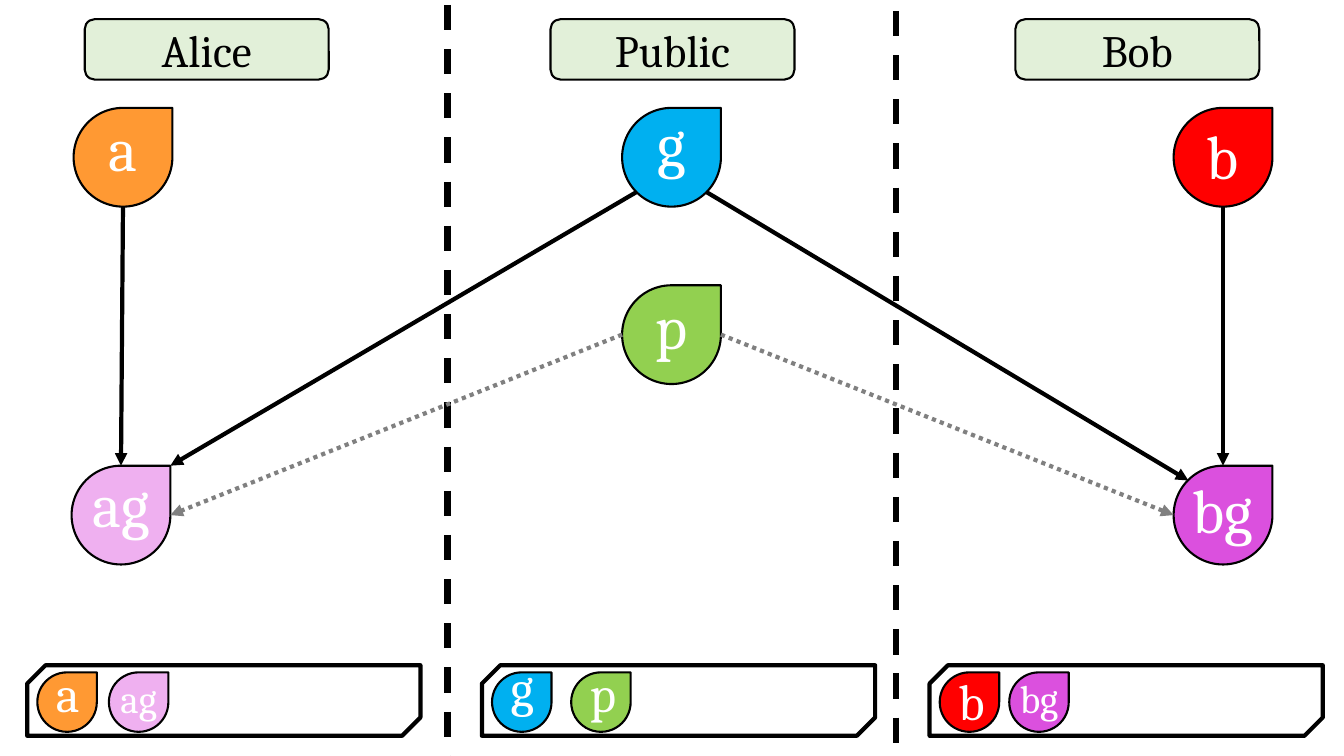
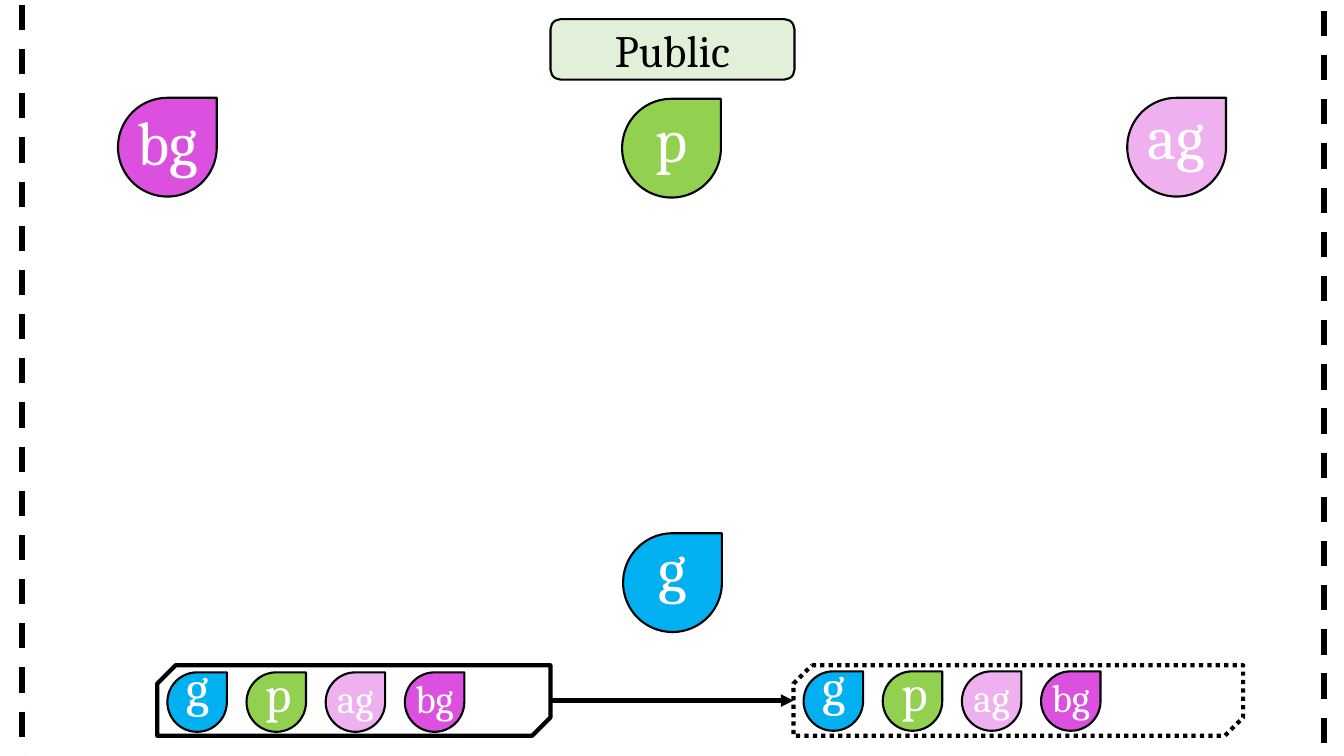
from dataclasses import dataclass

from lxml import etree
from pptx import Presentation
from pptx import util as u
from pptx.dml.color import RGBColor
from pptx.enum import dml, shapes, text
from pptx.oxml.ns import qn


@dataclass(frozen=True)
class Theme:
    font: str = "Cambria"
    ink: str = "000000"
    muted: str = "808080"
    white: str = "FFFFFF"
    label_fill: str = "E2F0D9"
    label_size: int = 32
    drop_size: int = 44
    token_size: int = 36
    pair_token_size: int = 28
    outline: float = 1.5
    heavy: float = 3
    divider: float = 4.5


THEME = Theme()

# Each value: fill colour, side inset, bottom inset of a drop, bottom inset of a token
VALUES = {
    "a": ("FF9933", 0.1, 0.2, 0.2),
    "b": ("FF0000", 0.1, 0.04, 0.04),
    "g": ("00B0F0", 0.1, 0.31, 0.31),
    "p": ("92D050", 0.1, 0.2, 0.2),
    "ag": ("EFB0F0", 0, 0.24, 0.08),
    "bg": ("DB50DE", 0, 0.12, 0.08),
}

# Places on a drop's outline, as fractions of its width and height
SITES = {
    "top": (0.5, 0),
    "tip": (1, 0),
    "right": (1, 0.5),
    "lower right": (0.85, 0.85),
    "bottom": (0.5, 1),
    "lower left": (0.15, 0.85),
    "left": (0, 0.5),
    "upper left": (0.15, 0.15),
}

DROP = 0.98
TOKEN = 0.59
TOKEN_STEP = 0.785
STORE_TOP = 6.6
STORE_HEIGHT = 0.7
STORE_WIDTH = 3.9
SNIP = 0.26
LABEL_LEFT = {"Alice": 0.84, "Public": 5.46, "Bob": 10.07}


# Basic elements
def set_line(line, color, width, dash=None):
    line.color.rgb = RGBColor.from_string(color)
    line.width = u.Pt(width)
    if dash is not None:
        line.dash_style = dash


def add_box(slide, kind, left, top, width, height, *, fill=None,
            width_pt=THEME.outline, dash=None):
    shape = slide.shapes.add_shape(
        kind, *(u.Inches(value) for value in (left, top, width, height)))
    shape.shadow.inherit = False
    if fill is None:
        shape.fill.background()
    else:
        shape.fill.solid()
        shape.fill.fore_color.rgb = RGBColor.from_string(fill)
    set_line(shape.line, THEME.ink, width_pt, dash)
    return shape


def write(shape, words, *, size, color, insets=(0.1, 0.05, 0.1, 0.05)):
    frame = shape.text_frame
    frame.word_wrap = True
    frame.vertical_anchor = text.MSO_ANCHOR.MIDDLE
    (frame.margin_left, frame.margin_top,
     frame.margin_right, frame.margin_bottom) = map(u.Inches, insets)
    paragraph = frame.paragraphs[0]
    paragraph.alignment = text.PP_ALIGN.CENTER
    run = paragraph.add_run()
    run.text = words
    run.font.name = THEME.font
    run.font.size = u.Pt(size)
    run.font.color.rgb = RGBColor.from_string(color)


def add_line(slide, start, end, *, color=THEME.ink, width=THEME.heavy,
             dash=None, arrow=True):
    connector = slide.shapes.add_connector(
        shapes.MSO_CONNECTOR.STRAIGHT, *map(u.Inches, (*start, *end)))
    set_line(connector.line, color, width, dash)
    properties = connector._element.spPr
    if arrow:
        etree.SubElement(properties.find(qn("a:ln")), qn("a:tailEnd"), type="triangle")
    etree.SubElement(properties, qn("a:effectLst"))
    return connector


# Parts of the diagram
def add_divider(slide, x, top):
    add_line(slide, (x, top), (x, top + 8.28), width=THEME.divider,
             dash=dml.MSO_LINE.DASH, arrow=False)


def add_label(slide, name):
    label = add_box(slide, shapes.MSO_SHAPE.ROUNDED_RECTANGLE,
                    LABEL_LEFT[name], 0.19, 2.42, 0.6, fill=THEME.label_fill)
    write(label, name, size=THEME.label_size, color=THEME.ink)


def add_teardrop(slide, name, left, top, side, size, bottom_inset):
    fill, side_inset = VALUES[name][:2]
    shape = add_box(slide, shapes.MSO_SHAPE.TEAR, left, top, side, side, fill=fill)
    write(shape, name, size=size, color=THEME.white,
          insets=(side_inset, 0, side_inset, bottom_inset))


def add_drop(slide, name, left, top):
    """Draw a large drop and return the points where arrows meet it."""
    add_teardrop(slide, name, left, top, DROP, THEME.drop_size, VALUES[name][2])
    return {site: (left + x * DROP, top + y * DROP) for site, (x, y) in SITES.items()}


def add_store(slide, left, names, *, width=STORE_WIDTH, step=TOKEN_STEP,
              token_top=6.67, dash=None):
    """Draw a snipped box holding a row of small drops."""
    store = add_box(slide, shapes.MSO_SHAPE.SNIP_2_DIAG_RECTANGLE, left, STORE_TOP,
                    width, STORE_HEIGHT, width_pt=THEME.heavy, dash=dash)
    store.adjustments[0] = SNIP
    store.adjustments[1] = 0
    for index, name in enumerate(names):
        size = THEME.token_size if len(name) == 1 else THEME.pair_token_size
        add_teardrop(slide, name, left + 0.1 + index * step, token_top,
                     TOKEN, size, VALUES[name][3])


def start_slide(presentation, dividers, labels):
    slide = presentation.slides.add_slide(presentation.slide_layouts[6])
    for x, top in zip(dividers, (-0.39, -0.33)):
        add_divider(slide, x, top)
    for name in labels:
        add_label(slide, name)
    return slide


# Slides
def build_key_mixing(presentation):
    slide = start_slide(presentation, (4.44, 8.89), LABEL_LEFT)
    g = add_drop(slide, "g", 6.17, 1.07)
    p = add_drop(slide, "p", 6.17, 2.83)
    a = add_drop(slide, "a", 0.73, 1.07)
    b = add_drop(slide, "b", 11.64, 1.07)
    ag = add_drop(slide, "ag", 0.71, 4.62)
    bg = add_drop(slide, "bg", 11.64, 4.62)

    for start, end in (
        (a["bottom"], ag["top"]),
        (g["lower left"], ag["tip"]),
        (b["bottom"], bg["top"]),
        (g["lower right"], bg["upper left"]),
    ):
        add_line(slide, start, end)
    for start, end in ((p["left"], ag["right"]), (p["right"], bg["left"])):
        add_line(slide, start, end, color=THEME.muted, dash=dml.MSO_LINE.ROUND_DOT)

    add_store(slide, 0.27, ("a", "ag"), step=0.71)
    add_store(slide, 4.78, ("g", "p"))
    add_store(slide, 9.22, ("b", "bg"), step=0.69)


def build_public_view(presentation):
    slide = start_slide(presentation, (0.22, 13.13), ("Public",))
    for name, left, top in (("g", 6.18, 5.29), ("p", 6.17, 0.98),
                            ("ag", 11.18, 0.97), ("bg", 1.17, 0.97)):
        add_drop(slide, name, left, top)

    known = ("g", "p", "ag", "bg")
    known_left, copied_left = 1.56, 7.87
    middle = STORE_TOP + STORE_HEIGHT / 2
    add_store(slide, known_left, known)
    add_line(slide, (known_left + STORE_WIDTH, middle), (copied_left, middle))
    add_store(slide, copied_left, known, width=4.46, token_top=6.66,
              dash=dml.MSO_LINE.ROUND_DOT)


def main():
    presentation = Presentation()
    presentation.slide_width = u.Inches(13.33)
    presentation.slide_height = u.Inches(7.5)
    build_key_mixing(presentation)
    build_public_view(presentation)
    presentation.save("out.pptx")


if __name__ == "__main__":
    main()
